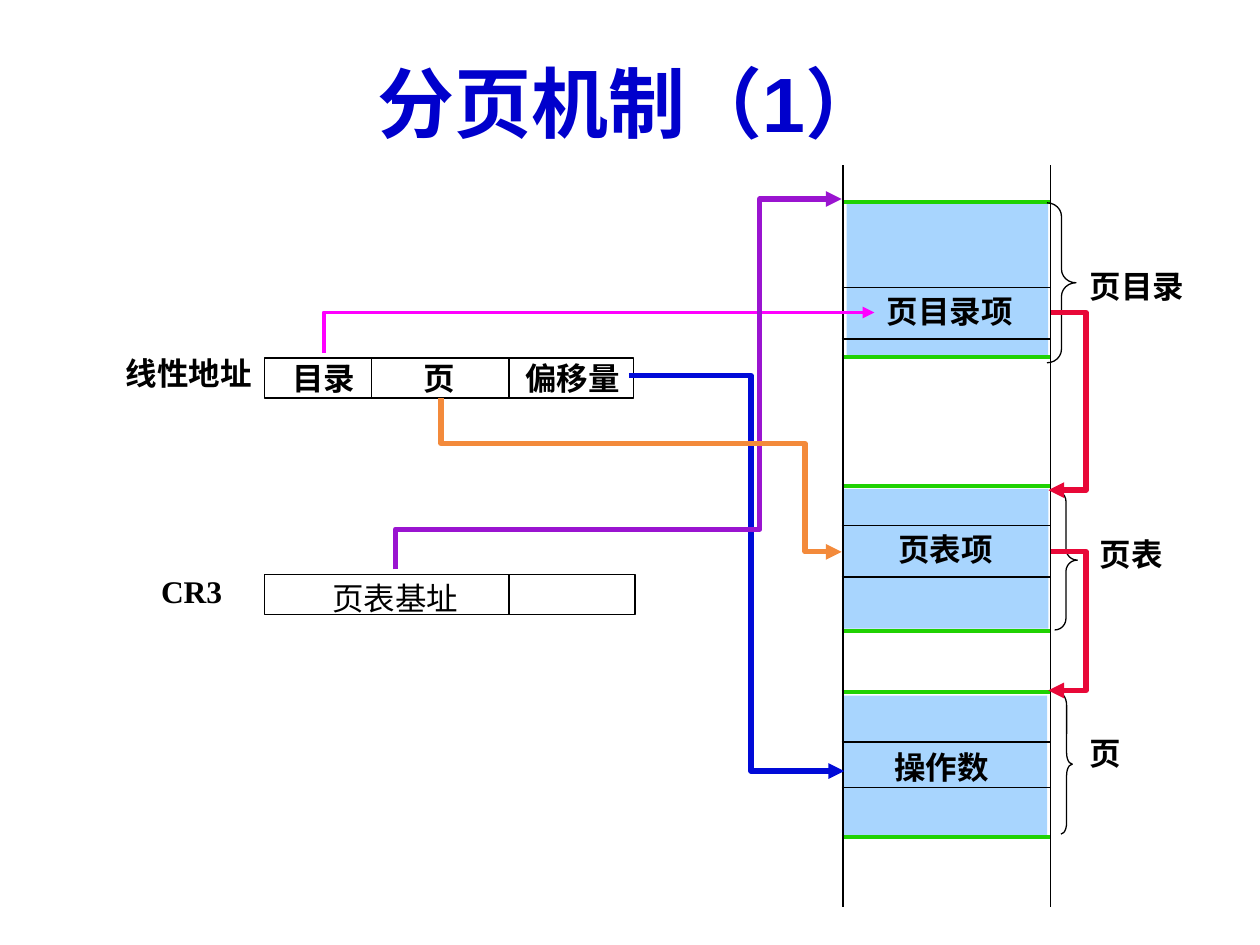
from lxml.etree import SubElement
from pptx import Presentation
from pptx.dml.color import RGBColor as RGB
from pptx.enum.shapes import MSO_CONNECTOR as CONN, MSO_SHAPE as SHAPE
from pptx.enum.text import MSO_ANCHOR as ANCHOR, PP_ALIGN as ALIGN
from pptx.oxml.ns import qn
from pptx.util import Pt

PX = 9144  # EMU per px, 100 px to the inch

BLACK = RGB(0x00, 0x00, 0x00)
NAVY = RGB(0x00, 0x00, 0xCC)
SKY = RGB(0xA8, 0xD5, 0xFE)
GREEN = RGB(0x20, 0xD2, 0x02)
PINK = RGB(0xFF, 0x00, 0xFF)
BLUE = RGB(0x00, 0x0A, 0xD8)
PURPLE = RGB(0x9A, 0x14, 0xD0)
ORANGE = RGB(0xF3, 0x8A, 0x3B)
RED = RGB(0xE8, 0x08, 0x38)


def emu(*vals):
    return [v * PX for v in vals]


def add_text(slide, text, box, size=18, font="Times New Roman", color=BLACK,
             bold=True, align=ALIGN.LEFT, anchor=ANCHOR.TOP, wrap=False):
    frame = slide.shapes.add_textbox(*emu(*box)).text_frame
    frame.word_wrap = wrap
    frame.vertical_anchor = anchor
    para = frame.paragraphs[0]
    para.alignment = align
    run = para.add_run()
    run.text = text
    run.font.size = Pt(size)
    run.font.name = font
    run.font.bold = bold
    run.font.color.rgb = color


def add_line(slide, x1, y1, x2, y2, color=BLACK, width=0.75):
    line = slide.shapes.add_connector(CONN.STRAIGHT, *emu(x1, y1, x2, y2))
    line.line.color.rgb = color
    line.line.width = Pt(width)
    SubElement(line._element.spPr, qn("a:effectLst"))


def add_shape(slide, kind, box, fill=None, line=None):
    shape = slide.shapes.add_shape(kind, *emu(*box))
    shape.shadow.inherit = False
    if fill is None:
        shape.fill.background()
    else:
        shape.fill.solid()
        shape.fill.fore_color.rgb = fill
    if line is None:
        shape.line.fill.background()
    else:
        shape.line.color.rgb = line
        shape.line.width = Pt(0.75)
    return shape


def add_route(slide, points, color, width=3):
    """Draw an angled path that ends in an arrowhead."""
    pen = slide.shapes.build_freeform(*points[0], scale=PX)
    pen.add_line_segments(points[1:], close=False)
    route = pen.convert_to_shape()
    route.shadow.inherit = False
    route.fill.background()
    route.line.color.rgb = color
    route.line.width = Pt(width)
    SubElement(route.line._get_or_add_ln(), qn("a:tailEnd"), type="triangle")


def add_register(slide, box, cuts, cells, name, name_box):
    """Row of fields; cuts and cells are measured from the box corner."""
    x, y, w, h = box
    add_shape(slide, SHAPE.RECTANGLE, box, line=BLACK)
    for cut in cuts:
        add_line(slide, x + cut, y, x + cut, y + h)
    for text, dx, dy, width, style in cells:
        add_text(slide, text, (x + dx, y + dy, width, 40), **style)
    dx, dy, width = name_box
    add_text(slide, name, (x + dx, y + dy, width, 40))


def add_block(slide, box, rows, entry, brace, label):
    """Memory block; all parts are measured from the box corner."""
    x, y, w, h = box
    inset, drop, width, height = entry["fill"]
    add_shape(slide, SHAPE.RECTANGLE,
              (x + inset, y + drop, width, height), fill=SKY)
    for row in rows:
        add_line(slide, x, y + row, x + w, y + row)
    for edge in (y, y + h):
        add_line(slide, x, edge, x + w, edge, GREEN, 2.25)
    text, dx, dy, width = entry["text"]
    add_text(slide, text, (x + dx, y + dy, width, 40))

    # Brace and its label
    dx, dy, width, height, curve = brace
    shape = add_shape(slide, SHAPE.RIGHT_BRACE,
                      (x + dx, y + dy, width, height), line=BLACK)
    shape.adjustments[0] = curve
    text, dx, dy, width = label
    add_text(slide, text, (x + dx, y + dy, width, 40))


def add_memory(slide, box):
    x, y, w, h = box
    add_block(slide, (x, y + 29, w, 123), (68, 109),
              {"fill": (4, 0, 160, 122), "text": ("页目录项", 26, 67, 120)},
              (163, 1, 23, 127, 0.47), ("页目录", 187, 47, 95))
    add_block(slide, (x, y + 255, w, 115), (31, 72),
              {"fill": (2, 2, 162, 111), "text": ("页表项", 35, 30, 95)},
              (169, 3, 18, 111, 0.5), ("页表", 195, 34, 70))
    add_block(slide, (x, y + 418, w, 115), (40, 76),
              {"fill": (1, 3, 162, 111), "text": ("操作数", 32, 40, 95)},
              (174, 2, 9, 111, 1), ("页", 187, 29, 45))
    for wall in (x + 1, x + w + 1):
        add_line(slide, wall, y, wall, y + h)


def add_arrows(slide):
    add_route(slide, [(257, 280), (257, 248), (694, 248)], PINK, 2.25)
    add_route(slide, [(499, 298), (596, 298), (596, 612), (670, 612)], BLUE)
    add_route(slide, [(314, 452), (314, 420), (603, 420), (603, 158),
                      (668, 158)], PURPLE)
    add_route(slide, [(350, 316), (350, 352), (639, 352), (639, 438),
                      (668, 438)], ORANGE)
    for top, low in ((248, 389), (438, 548)):
        add_route(slide, [(834, top), (862, top), (862, low), (832, low)], RED)


def main():
    prs = Presentation()
    prs.slide_width, prs.slide_height = emu(1000, 750)
    slide = prs.slides.add_slide(prs.slide_layouts[6])

    add_text(slide, "分页机制（1）", (50, 30, 900, 101), size=44, font="Arial",
             color=NAVY, align=ALIGN.CENTER, anchor=ANCHOR.MIDDLE, wrap=True)
    add_memory(slide, (668, 131, 165, 589))
    add_register(slide, (210, 284, 293, 32), (85, 194),
                 [("目录", 12, -4, 70, {}), ("页", 116, -4, 45, {}),
                  ("偏移量", 197, -4, 95, {})],
                 "线性地址", (-120, -8, 121))
    add_register(slide, (210, 456, 294, 32), (194,),
                 [("页表基址", 44, -1, 120, {"font": "Arial", "bold": False})],
                 "CR3", (-92, -7, 80))
    add_arrows(slide)

    prs.save("out.pptx")


if __name__ == "__main__":
    main()
